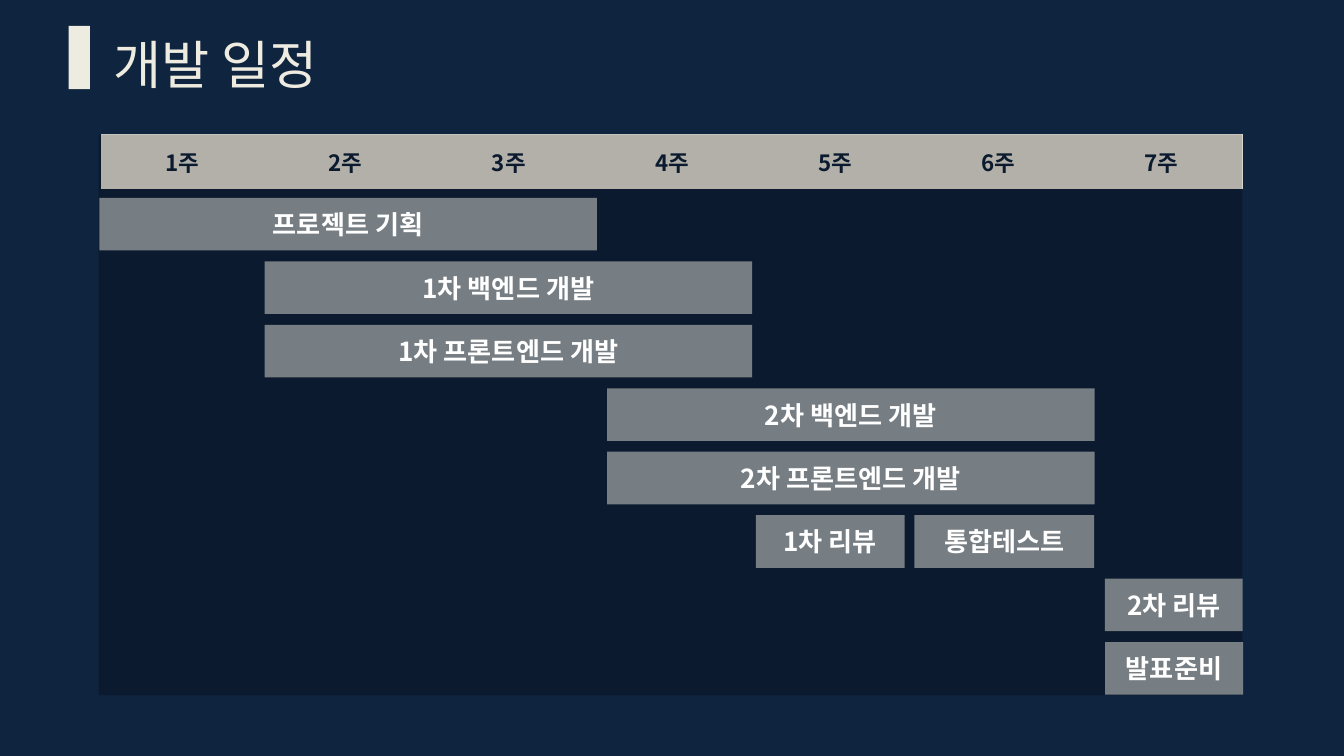
from lxml.etree import SubElement
from pptx import Presentation
from pptx.dml.color import RGBColor
from pptx.enum.shapes import MSO_SHAPE
from pptx.enum.text import MSO_ANCHOR, MSO_AUTO_SIZE, PP_ALIGN
from pptx.oxml.ns import qn
from pptx.util import Pt

NAVY = RGBColor(0x0F, 0x24, 0x3E)
CREAM = RGBColor(0xEE, 0xEC, 0xE1)
WHITE = RGBColor(0xFF, 0xFF, 0xFF)
BLACK = RGBColor(0x00, 0x00, 0x00)
FONT = "Noto Sans CJK KR"

TITLE = "개발 일정"
WEEKS = [f"{number}주" for number in range(1, 8)]
TASKS = [
    (0, 53.2, 266.6, "프로젝트 기획"),
    (1, 141.8, 261.2, "1차 백엔드 개발"),
    (2, 141.8, 261.2, "1차 프론트엔드 개발"),
    (3, 325.2, 261.2, "2차 백엔드 개발"),
    (4, 325.2, 261.2, "2차 프론트엔드 개발"),
    (5, 405, 79.6, "1차 리뷰"),
    (5, 489.8, 96.4, "통합테스트"),
    (6, 592, 73.8, "2차 리뷰"),
    (7, 592, 74, "발표준비"),
]

TITLE_FORMAT = {"size": Pt(28), "name": FONT}
WEEK_FORMAT = {"size": Pt(12), "name": FONT, "bold": True}
TASK_FORMAT = {"size": Pt(14), "name": FONT, "bold": True}

CHART_LEFT, CHART_TOP, CHART_WIDTH = 54, 72, 612
HEADER_HEIGHT = 29
FIRST_TASK_TOP, TASK_PITCH, TASK_HEIGHT = 106, 34, 28.2
NO_STYLE_NO_GRID = "{2D5ABB26-0587-4C30-8999-92F81FD0307C}"


def write(frame, text, formats, color, align):
    paragraph = frame.paragraphs[0]
    paragraph.alignment = align
    run = paragraph.add_run()
    run.text = text
    for key, value in formats.items():
        setattr(run.font, key, value)
    run.font.color.rgb = color
    SubElement(run.font._element, qn("a:ea"), typeface=FONT)


def add_block(slide, left, top, width, height, color, opacity=100):
    block = slide.shapes.add_shape(
        MSO_SHAPE.RECTANGLE, Pt(left), Pt(top), Pt(width), Pt(height))
    block.shadow.inherit = False
    block.line.fill.background()
    block.fill.solid()
    block.fill.fore_color.rgb = color
    if opacity < 100:
        tint = block._element.spPr.find(qn("a:solidFill"))[0]
        SubElement(tint, qn("a:alpha"), val=str(opacity * 1000))
    return block


def add_title(slide):
    heading = slide.shapes.add_textbox(Pt(54), Pt(13.8), Pt(198.6), Pt(41.2))
    heading.text_frame.word_wrap = True
    heading.text_frame.auto_size = MSO_AUTO_SIZE.SHAPE_TO_FIT_TEXT
    write(heading.text_frame, TITLE, TITLE_FORMAT, CREAM, PP_ALIGN.LEFT)
    add_block(slide, 36.8, 13.8, 11.4, 34, CREAM)


def add_weeks(slide):
    weeks = slide.shapes.add_table(
        1, len(WEEKS), Pt(CHART_LEFT), Pt(CHART_TOP),
        Pt(CHART_WIDTH), Pt(HEADER_HEIGHT)).table
    weeks.first_row = weeks.horz_banding = False
    weeks._tbl.tblPr.find(qn("a:tableStyleId")).text = NO_STYLE_NO_GRID
    for column, week in enumerate(WEEKS):
        weeks.columns[column].width = Pt(CHART_WIDTH / len(WEEKS))
        cell = weeks.cell(0, column)
        cell.vertical_anchor = MSO_ANCHOR.MIDDLE
        cell.fill.solid()
        cell.fill.fore_color.rgb = CREAM
        write(cell.text_frame, week, WEEK_FORMAT, NAVY, PP_ALIGN.CENTER)


def add_tasks(slide):
    add_block(slide, 52.8, CHART_TOP, 612.8, 300.4, BLACK, 25)
    for row, left, width, task in TASKS:
        top = FIRST_TASK_TOP + row * TASK_PITCH
        bar = add_block(slide, left, top, width, TASK_HEIGHT, CREAM, 48)
        bar.text_frame.vertical_anchor = MSO_ANCHOR.MIDDLE
        write(bar.text_frame, task, TASK_FORMAT, WHITE, PP_ALIGN.CENTER)


def main():
    deck = Presentation()
    deck.slide_width, deck.slide_height = Pt(720), Pt(405)
    slide = deck.slides.add_slide(deck.slide_layouts[6])
    slide.background.fill.solid()
    slide.background.fill.fore_color.rgb = NAVY
    add_title(slide)
    add_weeks(slide)
    add_tasks(slide)
    deck.save("out.pptx")


if __name__ == "__main__":
    main()
